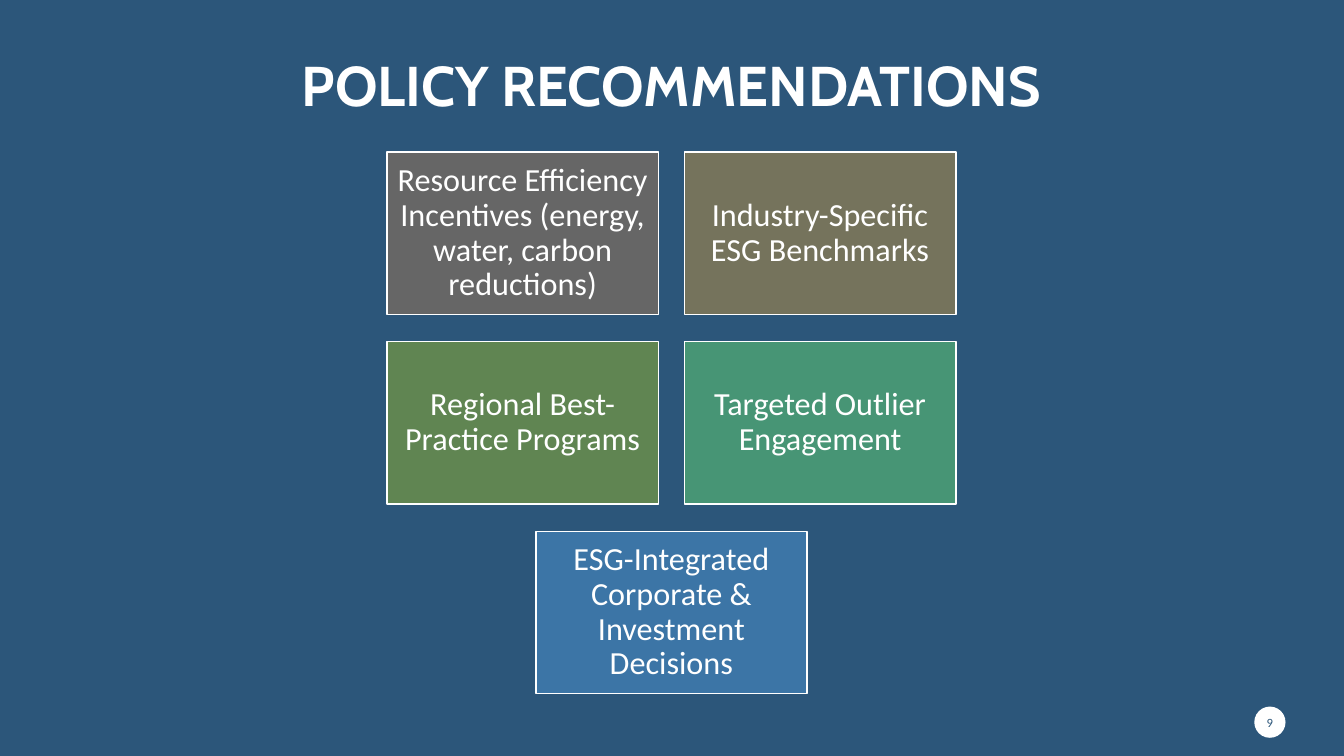
import pptx
import pptx.dml.color
import pptx.enum.shapes
import pptx.enum.text
import pptx.util

RGBColor = pptx.dml.color.RGBColor
Inches = pptx.util.Inches
Pt = pptx.util.Pt
Shape = pptx.enum.shapes.MSO_SHAPE
Anchor = pptx.enum.text.MSO_ANCHOR

NAVY = RGBColor(0x2C, 0x56, 0x7A)
WHITE = RGBColor(0xFF, 0xFF, 0xFF)
GREY = RGBColor(0x66, 0x66, 0x66)
OLIVE = RGBColor(0x75, 0x73, 0x5C)
GREEN = RGBColor(0x60, 0x85, 0x52)
TEAL = RGBColor(0x47, 0x95, 0x75)
BLUE = RGBColor(0x3C, 0x75, 0xA6)

RECOMMENDATIONS = [
    ("Resource Efficiency Incentives (energy, water, carbon reductions)", GREY),
    ("Industry-Specific ESG Benchmarks", OLIVE),
    ("Regional Best-Practice Programs", GREEN),
    ("Targeted Outlier Engagement", TEAL),
    ("ESG-Integrated Corporate & Investment Decisions", BLUE),
]
COLUMNS = 2


class PolicySlide:
    """Style and grid of the slide; cards sit at (column, row) of the grid."""

    heading_font = "Cabin"
    body_font = "Calibri"
    grid_left, grid_top = 3.84, 1.51
    column_step, row_step = 2.95, 1.88
    card_width, card_height = 2.69, 1.61

    def __init__(self, presentation):
        self.slide = presentation.slides.add_slide(presentation.slide_layouts[5])
        background = self.slide.background.fill
        background.solid()
        background.fore_color.rgb = NAVY

    def set_text(self, shape, text, font, size, color, anchor, bold=False, spacing=0.9):
        frame = shape.text_frame
        frame.text = text
        frame.word_wrap = True
        frame.auto_size = pptx.enum.text.MSO_AUTO_SIZE.NONE
        frame.vertical_anchor = anchor
        paragraph = frame.paragraphs[0]
        paragraph.alignment = pptx.enum.text.PP_ALIGN.CENTER
        paragraph.line_spacing = spacing
        paragraph.font.name = font
        paragraph.font.size = Pt(size)
        paragraph.font.bold = bold
        paragraph.font.color.rgb = color

    def title(self, text):
        title = self.slide.shapes.title
        title.left, title.top = Inches(0.91), Inches(0.2)
        title.width, title.height = Inches(11.5), Inches(1.03)
        self.set_text(title, text, self.heading_font, 40, WHITE, Anchor.BOTTOM, bold=True)

    def filled_shape(self, preset, left, top, width, height, fill, inset):
        shape = self.slide.shapes.add_shape(
            preset, Inches(left), Inches(top), Inches(width), Inches(height))
        shape.shadow.inherit = False
        shape.fill.solid()
        shape.fill.fore_color.rgb = fill
        shape.line.color.rgb = WHITE
        shape.line.width = Pt(1)
        frame = shape.text_frame
        frame.margin_left = frame.margin_right = Inches(inset)
        frame.margin_top = frame.margin_bottom = Inches(inset)
        return shape

    def card(self, column, row, text, fill):
        card = self.filled_shape(
            Shape.RECTANGLE,
            self.grid_left + column * self.column_step,
            self.grid_top + row * self.row_step,
            self.card_width, self.card_height, fill, 0.1)
        self.set_text(card, text, self.body_font, 23, WHITE, Anchor.MIDDLE)

    def page_number(self, number):
        badge = self.filled_shape(Shape.OVAL, 12.44, 7.01, 0.31, 0.31, WHITE, 0)
        badge.line.fill.background()
        self.set_text(badge, str(number), self.body_font, 9, NAVY, Anchor.MIDDLE, spacing=1.0)


def main():
    presentation = pptx.Presentation()
    presentation.slide_width = Inches(13.33)
    presentation.slide_height = Inches(7.5)

    policy = PolicySlide(presentation)
    policy.title("POLICY RECOMMENDATIONS")
    for index, (text, fill) in enumerate(RECOMMENDATIONS):
        row, column = divmod(index, COLUMNS)
        cards_in_row = min(COLUMNS, len(RECOMMENDATIONS) - row * COLUMNS)
        centring = (COLUMNS - cards_in_row) / 2
        policy.card(column + centring, row, text, fill)
    policy.page_number(9)

    presentation.save("out.pptx")


if __name__ == "__main__":
    main()
